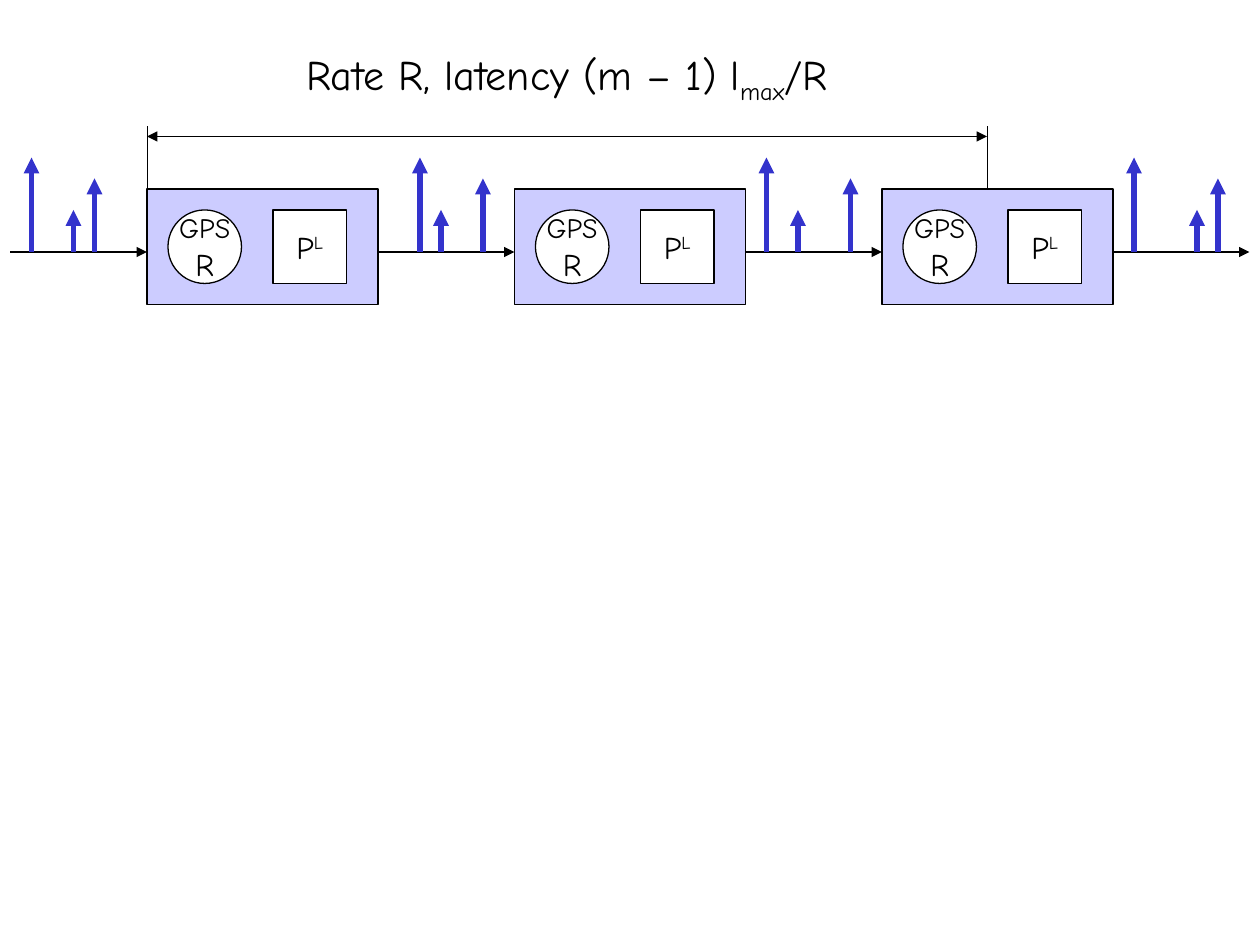
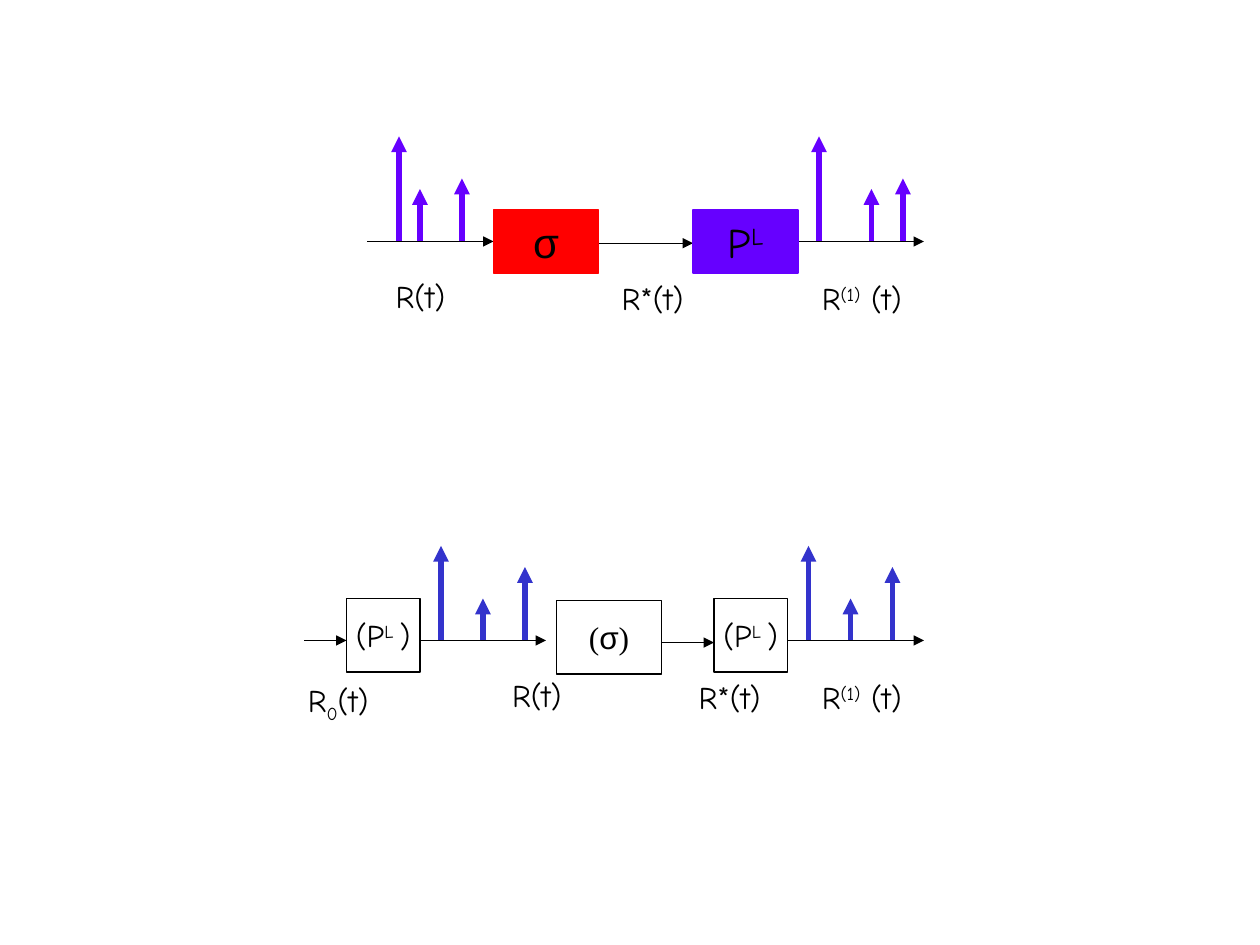
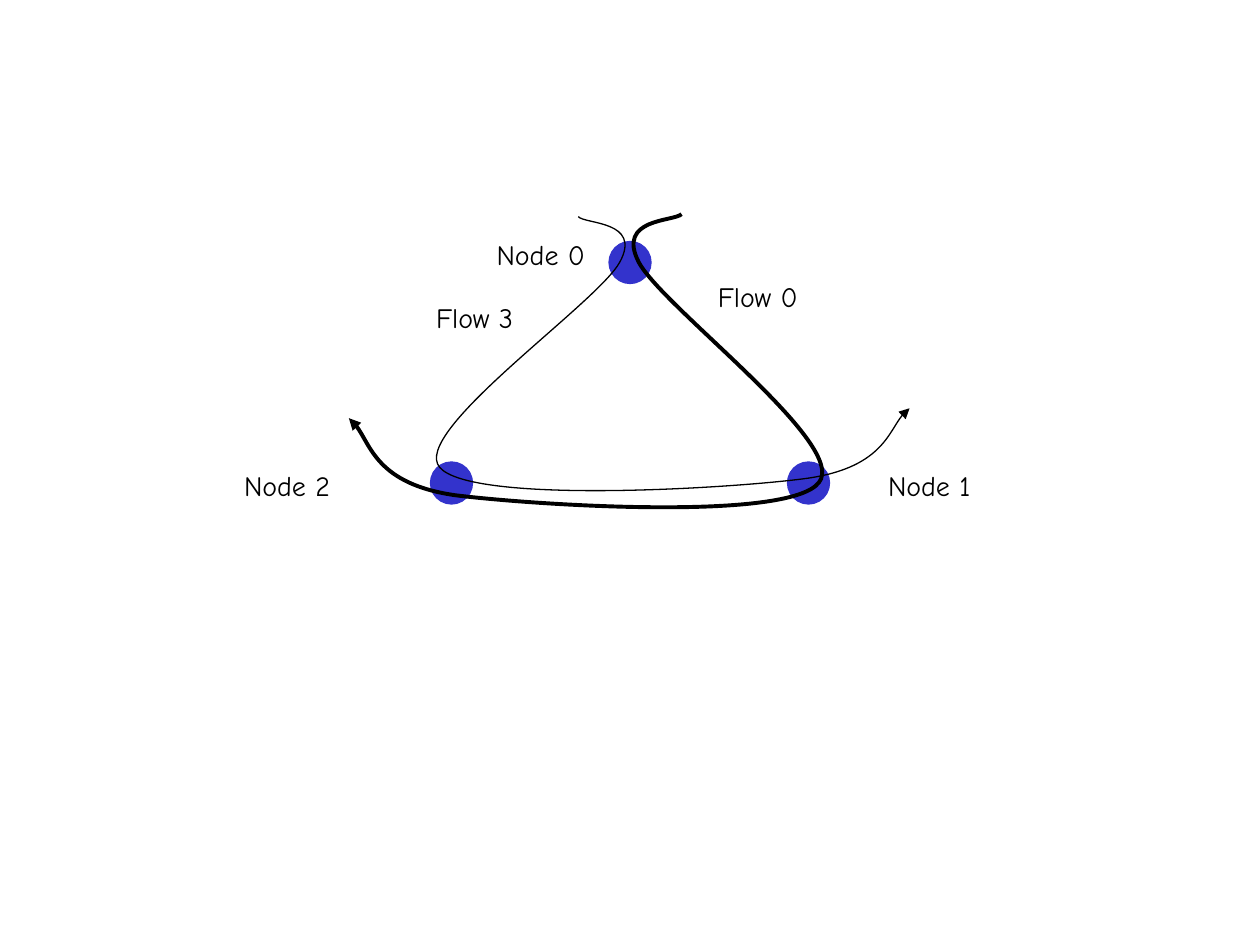
import pptx
import pptx.util
import pptx.dml.color
import pptx.enum.dml
import pptx.enum.shapes
import pptx.enum.text
import pptx.oxml.ns
from lxml import etree

Pt = pptx.util.Pt
RGBColor = pptx.dml.color.RGBColor
SHAPES = pptx.enum.shapes.MSO_SHAPE
qn = pptx.oxml.ns.qn

BLACK = RGBColor(0x00, 0x00, 0x00)
WHITE = RGBColor(0xFF, 0xFF, 0xFF)
LAVENDER = RGBColor(0xCC, 0xCC, 0xFF)
BLUE = RGBColor(0x33, 0x33, 0xCC)
VIOLET = RGBColor(0x66, 0x00, 0xFF)
RED = RGBColor(0xFF, 0x00, 0x00)

BODY_FONT = "Comic Neue"
SUPERSCRIPT = {"baseline": 30000}
SUBSCRIPT = {"baseline": -25000}

GPS_TEXT = [[("GPS", {"size": 16})], [("R", {})]]
PACKETIZER_TEXT = [[("P", {}), ("L", SUPERSCRIPT)]]
PACKETIZER_IN_BRACKETS = [[("(P", {}), ("L ", SUPERSCRIPT), (")", {})]]
SIGMA_TEXT = [[("σ", {"font": "Arial"})]]
SIGMA_IN_BRACKETS = [[
    ("(", {"font": "Times New Roman"}),
    ("σ", {"font": "Arial"}),
    (")", {"font": "Times New Roman"}),
]]
LATENCY_TEXT = [[("Rate R, latency (m – 1) l", {}), ("max", SUBSCRIPT), ("/R", {})]]
INPUT_TEXT = [[("R(t)", {})]]
SHAPED_TEXT = [[("R*(t)", {})]]
OUTPUT_TEXT = [[("R", {}), ("(1)", SUPERSCRIPT), (" (t)", {})]]
SOURCE_TEXT = [[("R", {}), ("0", SUBSCRIPT), ("(t)", {})]]

NODE_COUNT = 3
NODE_LEFT, NODE_TOP, NODE_WIDTH, NODE_HEIGHT = 84, 108, 132, 66
LINK_LENGTH = 78
NODE_PITCH = NODE_WIDTH + LINK_LENGTH
INNER_SIZE = 42
CHAIN_AXIS = 144
SPAN_END = 564
PACKET_HEIGHTS = (54, 24, 42)
CHAIN_PACKETS = [(12, 36, 48), (24, 36, 60), (12, 30, 60), (12, 48, 60)]

SHAPER_AXIS = 138
SHAPER_PACKET_HEIGHTS = (60, 30, 36)
SHAPER_FLOWS = [(210, 282, (18, 30, 54)), (450, 528, (18, 48, 66))]
SHAPER_BOXES = [
    ((396, 120, 60, 36), PACKETIZER_TEXT, VIOLET),
    ((282, 120, 60, 36), SIGMA_TEXT, RED),
]
PACKET_SHAPER_AXIS = 366
PACKET_SHAPER_FLOWS = [(174, 198, ()), (240, 312, (12, 36, 60)), (450, 528, (12, 36, 60))]
PACKET_SHAPER_BOXES = [
    ((198, 342, 42, 42), PACKETIZER_IN_BRACKETS),
    ((318, 343.2, 60, 42), SIGMA_IN_BRACKETS),
    ((408, 342, 42, 42), PACKETIZER_IN_BRACKETS),
]
SHAPED_LINKS = [((342, 139), (396, 139)), ((378, 367.2), (408, 367.2))]
SIGNAL_LABELS = [
    ((219, 155, 42.5, 29), INPUT_TEXT, False),
    ((347, 156, 52, 29), SHAPED_TEXT, False),
    ((462.5, 156, 60, 29), OUTPUT_TEXT, False),
    ((285.5, 383, 42.5, 29), INPUT_TEXT, False),
    ((391, 384, 52, 29), SHAPED_TEXT, False),
    ((462.5, 384, 60, 29), OUTPUT_TEXT, False),
    ((162, 385.5, 62.5, 32), SOURCE_TEXT, True),
]

RING_NODES = [(348, 138), (450, 264), (246, 264)]
RING_NODE_SIZE = 24
RING_LABELS = [
    ("Node 0", (276.5, 132, 65, 26.5)),
    ("Flow 0", (403, 156, 60, 26.5)),
    ("Flow 3", (242, 168, 58.5, 26.5)),
    ("Node 1", (499, 264, 64, 26.5)),
    ("Node 2", (132, 264, 64, 26.5)),
]
RING_FLOWS = [
    (2.25, [
        (389.5, 122.4),
        (385.2, 126.7), (352.1, 124.6), (365, 149.8),
        (378.7, 175.7), (485.3, 254.2), (468, 275.8),
        (450.7, 298.1), (305.3, 288.7), (259.9, 283),
        (215.3, 276.5), (209.5, 246.2), (199.4, 239),
    ]),
    (0.75, [
        (330.5, 123.8),
        (334.1, 128.2), (367.2, 126), (354.2, 149.8),
        (341.3, 173.5), (234, 247), (251.3, 267.1),
        (269.3, 288), (414.7, 279.4), (459.4, 273.6),
        (504, 267.8), (509.8, 239.8), (519.8, 233.3),
    ]),
]


def write_text(shape, paragraphs, size=18, font=BODY_FONT, color=BLACK, wrap=False,
               anchor=pptx.enum.text.MSO_ANCHOR.MIDDLE, grow=False):
    frame = shape.text_frame
    frame.word_wrap = wrap
    frame.vertical_anchor = anchor
    if grow:
        frame.auto_size = pptx.enum.text.MSO_AUTO_SIZE.SHAPE_TO_FIT_TEXT
    for index, runs in enumerate(paragraphs):
        paragraph = frame.paragraphs[0] if index == 0 else frame.add_paragraph()
        paragraph.alignment = pptx.enum.text.PP_ALIGN.CENTER
        for text, options in runs:
            run = paragraph.add_run()
            run.text = text
            run.font.name = options.get("font", font)
            run.font.size = Pt(options.get("size", size))
            run.font.color.rgb = color
            if "baseline" in options:
                run._r.get_or_add_rPr().set("baseline", str(options["baseline"]))


def add_label(slide, box, paragraphs, **text_format):
    label = slide.shapes.add_textbox(*map(Pt, box))
    write_text(label, paragraphs, anchor=pptx.enum.text.MSO_ANCHOR.TOP, grow=True, **text_format)


def add_box(slide, kind, box, fill=WHITE, line=BLACK, paragraphs=(), size=18):
    shape = slide.shapes.add_shape(kind, *map(Pt, box))
    shape.shadow.inherit = False
    shape.fill.solid()
    shape.fill.fore_color.rgb = fill
    shape.line.color.rgb = line
    shape.line.width = Pt(0.75)
    if paragraphs:
        write_text(shape, paragraphs, size=size)


def format_line(line, color, width, ends):
    line.color.rgb = color
    line.width = Pt(width)
    outline = line._get_or_add_ln()
    outline.set("cap", "flat")
    for end in ends:
        etree.SubElement(outline, qn(f"a:{end}"), type="triangle")


def add_line(slide, start, end, color=BLACK, width=0.75, ends=("tailEnd",), dotted=False):
    connector = slide.shapes.add_connector(
        pptx.enum.shapes.MSO_CONNECTOR.STRAIGHT, *map(Pt, start + end))
    if dotted:
        connector.line.dash_style = pptx.enum.dml.MSO_LINE.ROUND_DOT
    format_line(connector.line, color, width, ends)
    etree.SubElement(connector._element.spPr, qn("a:effectLst"))


def add_packet_flow(slide, axis, start, end, offsets, heights, color=BLUE):
    add_line(slide, (start, axis), (end, axis))
    for offset, height in zip(offsets, heights):
        left = start + offset
        add_line(slide, (left, axis), (left, axis - height), color=color, width=3)


def add_curve(slide, points, width):
    start, *controls = [tuple(map(Pt, point)) for point in points]
    builder = slide.shapes.build_freeform(*start)
    builder.add_line_segments(controls, close=False)
    curve = builder.convert_to_shape()
    curve.shadow.inherit = False
    curve.fill.background()
    format_line(curve.line, BLACK, width, ("tailEnd",))
    outline = curve._element.find(".//" + qn("a:path"))
    segments = outline.findall(qn("a:lnTo"))
    for index in range(0, len(segments), 3):
        bezier = etree.SubElement(outline, qn("a:cubicBezTo"))
        for segment in segments[index:index + 3]:
            bezier.append(segment[0])
            outline.remove(segment)


def build_chain_slide(slide):
    for index in range(NODE_COUNT):
        left = NODE_LEFT + index * NODE_PITCH
        add_box(slide, SHAPES.RECTANGLE, (left, NODE_TOP, NODE_WIDTH, NODE_HEIGHT), fill=LAVENDER)
        for kind, offset, paragraphs in [(SHAPES.OVAL, 12, GPS_TEXT),
                                         (SHAPES.RECTANGLE, 72, PACKETIZER_TEXT)]:
            add_box(slide, kind, (left + offset, NODE_TOP + 12, INNER_SIZE, INNER_SIZE),
                    paragraphs=paragraphs)
    for index, offsets in enumerate(CHAIN_PACKETS):
        end = NODE_LEFT + index * NODE_PITCH
        add_packet_flow(slide, CHAIN_AXIS, end - LINK_LENGTH, end, offsets, PACKET_HEIGHTS)
    for left in (NODE_LEFT, SPAN_END):
        add_line(slide, (left, 72), (left, NODE_TOP), width=0.25, ends=(), dotted=True)
    add_line(slide, (NODE_LEFT, 78), (SPAN_END, 78), ends=("headEnd", "tailEnd"))
    add_label(slide, (NODE_LEFT, 24, SPAN_END - NODE_LEFT, 40), LATENCY_TEXT, size=24, wrap=True)


def build_shaper_slide(slide):
    for box, paragraphs, wrap in SIGNAL_LABELS:
        add_label(slide, box, paragraphs, wrap=wrap)
    for box, paragraphs in PACKET_SHAPER_BOXES:
        add_box(slide, SHAPES.RECTANGLE, box, paragraphs=paragraphs)
    for start, end in SHAPED_LINKS:
        add_line(slide, start, end)
    for start, end, offsets in PACKET_SHAPER_FLOWS:
        add_packet_flow(slide, PACKET_SHAPER_AXIS, start, end, offsets, PACKET_HEIGHTS)
    for start, end, offsets in SHAPER_FLOWS:
        add_packet_flow(slide, SHAPER_AXIS, start, end, offsets, SHAPER_PACKET_HEIGHTS, VIOLET)
    for box, paragraphs, color in SHAPER_BOXES:
        add_box(slide, SHAPES.RECTANGLE, box, fill=color, line=color,
                paragraphs=paragraphs, size=24)


def build_ring_slide(slide):
    for left, top in RING_NODES:
        add_box(slide, SHAPES.OVAL, (left, top, RING_NODE_SIZE, RING_NODE_SIZE),
                fill=BLUE, line=BLUE)
    for width, points in RING_FLOWS:
        add_curve(slide, points, width)
    for text, box in RING_LABELS:
        add_label(slide, box, [[(text, {})]], size=16)


def main():
    presentation = pptx.Presentation()
    presentation.slide_width = Pt(720)
    presentation.slide_height = Pt(540)
    for build in (build_chain_slide, build_shaper_slide, build_ring_slide):
        build(presentation.slides.add_slide(presentation.slide_layouts[6]))
    presentation.save("out.pptx")


if __name__ == "__main__":
    main()
